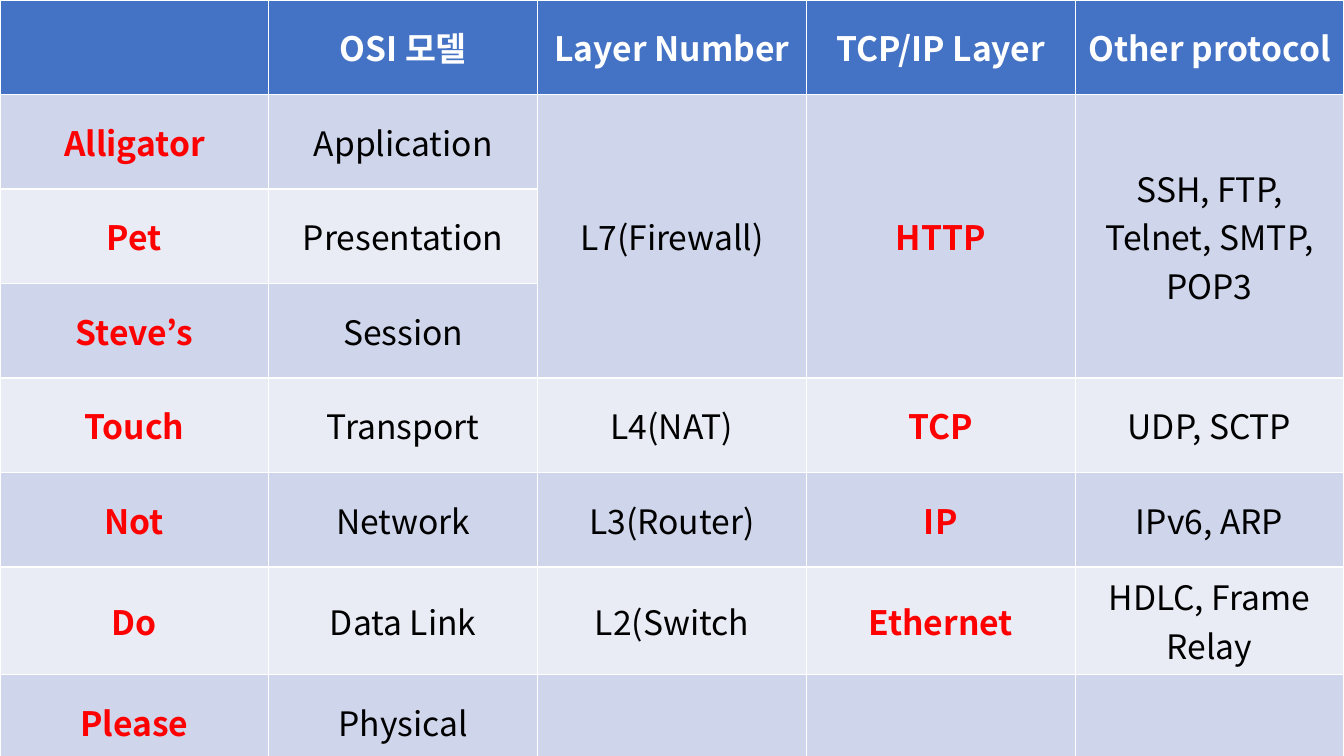
import pptx
import pptx.util
import pptx.dml.color
import pptx.enum.text
from lxml import etree
from pptx.dml.color import RGBColor
from pptx.util import Inches

# Content
HEADERS = ["", "OSI 모델", "Layer Number", "TCP/IP Layer", "Other protocol"]
LAYERS = [
    ("Alligator", "Application", "L7(Firewall)", "HTTP", "SSH, FTP, Telnet, SMTP, POP3"),
    ("Pet", "Presentation", "", "", ""),
    ("Steve’s", "Session", "", "", ""),
    ("Touch", "Transport", "L4(NAT)", "TCP", "UDP, SCTP"),
    ("Not", "Network", "L3(Router)", "IP", "IPv6, ARP"),
    ("Do", "Data Link", "L2(Switch", "Ethernet", "HDLC, Frame Relay"),
    ("Please", "Physical", "", "", ""),
]
RED_COLUMNS = (0, 3)
MERGED_COLUMNS = (2, 3, 4)
MERGED_ROWS = (1, 3)

# Style
FONT = "Noto Sans CJK KR"
SIZE = pptx.util.Pt(24)
WHITE = RGBColor(0xFF, 0xFF, 0xFF)
BLACK = RGBColor(0x00, 0x00, 0x00)
RED = RGBColor(0xFF, 0x00, 0x00)
HEADER_BLUE = RGBColor(0x44, 0x72, 0xC4)
BANDS = (RGBColor(0xE9, 0xEB, 0xF5), RGBColor(0xCF, 0xD5, 0xEA))
WIDTH, HEIGHT = Inches(13.33), Inches(7.5)


def write_cell(cell, text, color, bold):
    cell.vertical_anchor = pptx.enum.text.MSO_ANCHOR.MIDDLE
    p = cell.text_frame.paragraphs[0]
    p.alignment = pptx.enum.text.PP_ALIGN.CENTER
    if not text:
        return
    r = p.add_run()
    r.text = text
    r.font.name, r.font.size = FONT, SIZE
    r.font.bold = bold
    r.font.color.rgb = color
    # East Asian typeface for the Korean text
    latin = r.font._element.find(pptx.oxml.ns.qn("a:latin"))
    ea = etree.Element(pptx.oxml.ns.qn("a:ea"), typeface=FONT)
    latin.addnext(ea)


prs = pptx.Presentation()
prs.slide_width, prs.slide_height = WIDTH, HEIGHT
s = prs.slides.add_slide(prs.slide_layouts[6])

# Table filling the slide; its default style draws the white rules
rows = [HEADERS] + LAYERS
table = s.shapes.add_table(len(rows), len(HEADERS), 0, 0, WIDTH, HEIGHT).table

# Cells: blue header, then alternating bands
for i, row in enumerate(rows):
    for j, text in enumerate(row):
        cell = table.cell(i, j)
        cell.fill.solid()
        if i == 0:
            cell.fill.fore_color.rgb = HEADER_BLUE
            write_cell(cell, text, WHITE, True)
        else:
            red = j in RED_COLUMNS
            cell.fill.fore_color.rgb = BANDS[i % 2]
            write_cell(cell, text, RED if red else BLACK, red)

# The top three layers share one cell in the right-hand columns
first, last = MERGED_ROWS
for j in MERGED_COLUMNS:
    table.cell(first, j).merge(table.cell(last, j))

prs.save("out.pptx")
